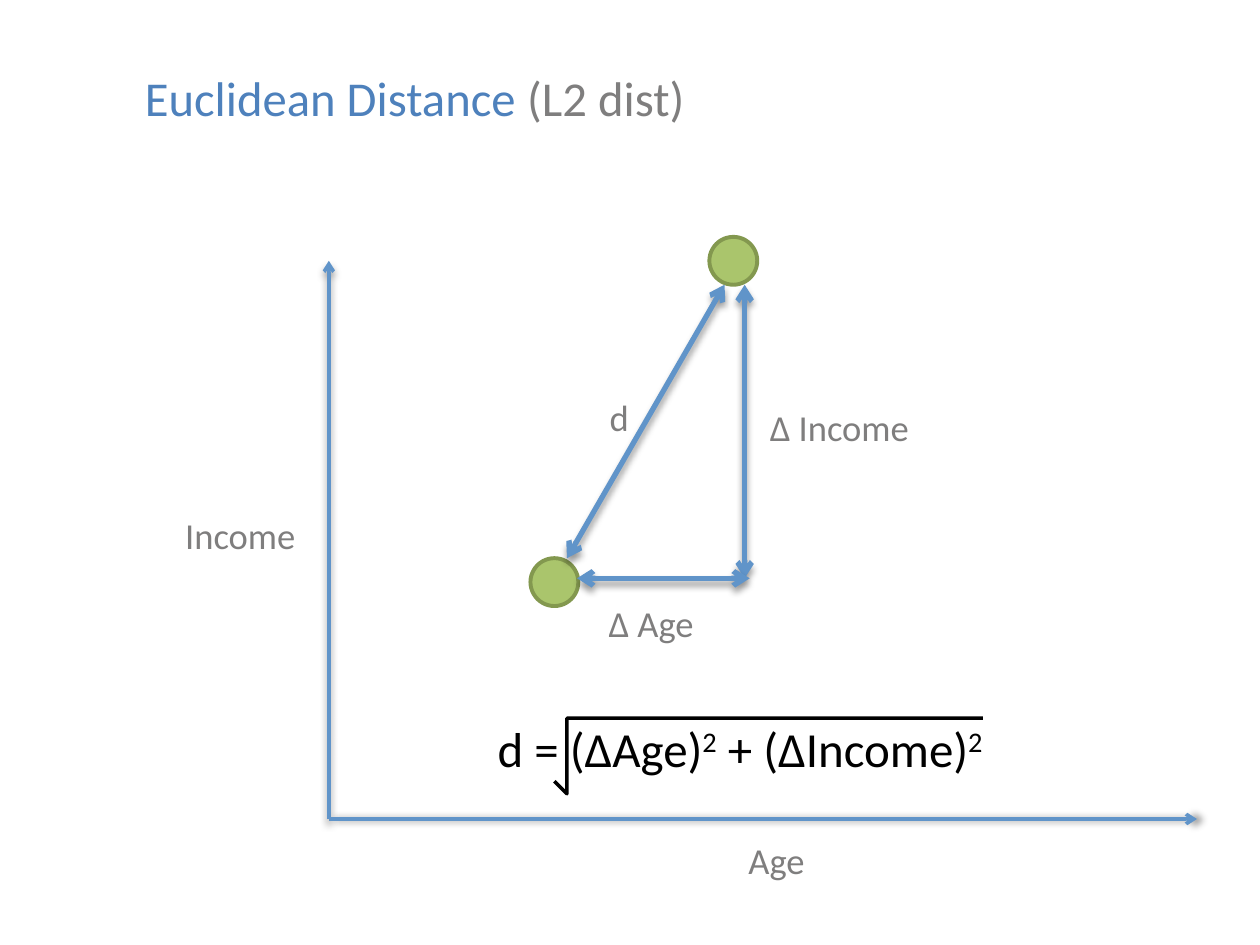
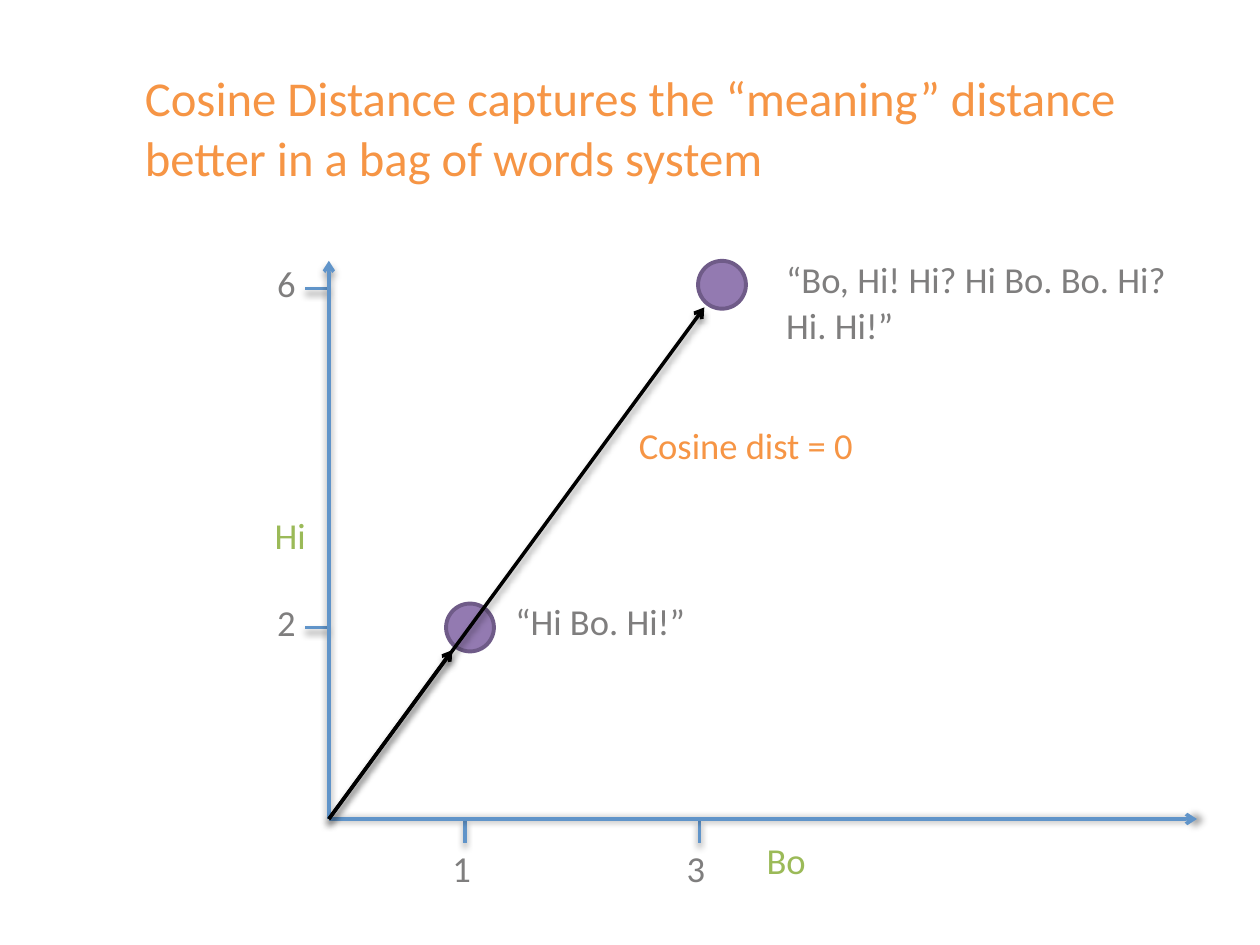
from dataclasses import dataclass
from typing import Any, NamedTuple

from lxml import etree
from pptx import Presentation
from pptx import util as u
from pptx.dml.color import RGBColor
from pptx.enum import shapes, text
from pptx.oxml import ns

COLS, ROWS = 100, 75  # the grid that all places are given in
CELL = u.Inches(0.1)


@dataclass(frozen=True)
class Theme:
    font: str = "Calibri"
    grey: str = "7F7E7E"
    blue: str = "4E81BC"
    line: str = "6094C9"
    orange: str = "F69545"
    green: str = "9BBA58"
    black: str = "000000"
    leaf: tuple[str, str] = ("AAC56C", "83984F")  # fill, rim
    plum: tuple[str, str] = ("937AB1", "6F5B88")
    thin: float = 2
    thick: float = 3
    rim: float = 2.25
    dot: float = 3.8


T = Theme()


class Style(NamedTuple):
    size: int
    lead: float | None = None
    space: float = 0
    raised: int = 0  # baseline shift in thousandths of a percent
    indent: float = 0


TITLE = Style(48, 34, 1.7, 2000, 0.1)
LABEL = Style(36, 26, 1.3, 2000, 0.1)
MATH = Style(28)


class Run(NamedTuple):
    words: str
    hue: str = T.grey
    up: int | None = None


class Label(NamedTuple):
    x: float
    y: float
    wide: float
    runs: list[Run]
    high: float = 3.6
    style: Style = LABEL
    align: str = "LEFT"
    wrap: bool = True


class Arrow(NamedTuple):
    start: tuple[float, float]
    end: tuple[float, float]
    hue: str = T.line
    width: float = T.thin
    heads: tuple[str, ...] = ("tailEnd",)
    turn: int = 90  # direction of the shadow


class Dot(NamedTuple):
    x: float
    y: float
    hues: tuple[str, str]


def cell(n: float) -> int:
    return round(n * CELL)


def put(item: Any, values: dict[str, Any]) -> None:
    for key, value in values.items():
        setattr(item, key, value)


def node(host: Any, tag: str, **attrs: Any) -> Any:
    return etree.SubElement(host, ns.qn(f"a:{tag}"), {k: str(v) for k, v in attrs.items()})


def pen(line: Any, hue: str, width: float) -> None:
    line.color.rgb = RGBColor.from_string(hue)
    line.width = u.Pt(width)


def write(slide: Any, spec: Label) -> None:
    box = slide.shapes.add_textbox(*map(cell, (spec.x, spec.y, spec.wide, spec.high)))
    frame = box.text_frame
    put(frame, {f"margin_{side}": 0 for side in ("left", "top", "right", "bottom")})
    frame.word_wrap = spec.wrap
    style, para = spec.style, frame.paragraphs[0]
    put(para, {
        "alignment": getattr(text.PP_ALIGN, spec.align),
        "line_spacing": u.Pt(style.lead) if style.lead else None,
        "space_before": u.Pt(style.space),
    })
    para._p.get_or_add_pPr().set("marL", str(cell(style.indent)))
    for part in spec.runs:
        run = para.add_run()
        run.text = part.words
        put(run.font, {"size": u.Pt(style.size), "name": T.font})
        run.font.color.rgb = RGBColor.from_string(part.hue)
        shift = style.raised if part.up is None else part.up
        run._r.get_or_add_rPr().set("baseline", str(shift))


def stroke(slide: Any, spec: Arrow) -> None:
    ends = map(cell, (*spec.start, *spec.end))
    link = slide.shapes.add_connector(shapes.MSO_CONNECTOR.STRAIGHT, *ends)
    pen(link.line, spec.hue, spec.width)
    for head in spec.heads:
        node(link.line._get_or_add_ln(), head, type="arrow")
    glow = node(node(link._element.spPr, "effectLst"), "outerShdw", blurRad=u.Pt(4),
                dist=u.Pt(3), dir=spec.turn * 60000, rotWithShape=0)
    node(node(glow, "srgbClr", val=T.black), "alpha", val=40000)


def spot(slide: Any, spec: Dot) -> None:
    disc = slide.shapes.add_shape(
        shapes.MSO_SHAPE.OVAL, *map(cell, (spec.x, spec.y, T.dot, T.dot)))
    disc.shadow.inherit = False
    disc.fill.solid()
    disc.fill.fore_color.rgb = RGBColor.from_string(spec.hues[0])
    pen(disc.line, spec.hues[1], T.rim)


DRAW = {Label: write, Arrow: stroke, Dot: spot}


def draw(slide: Any, *items: Label | Arrow | Dot) -> None:
    for item in items:
        DRAW[type(item)](slide, item)


# Shared parts: title and the two axes
ZERO = (26.1, 65)
AXES = (Arrow(ZERO, (26.1, 20.7)), Arrow(ZERO, (95, 65), turn=0))


def title(*runs: Run, high: float = 5.4) -> Label:
    return Label(11.4, 6, 86.1, list(runs), high, TITLE)


def root(slide: Any) -> None:
    """Square root sign over the formula."""
    first, *rest = [(43.7, 61.5), (44.7, 62.6), (44.7, 56.9), (78.2, 56.9)]
    maker = slide.shapes.build_freeform(*first, scale=CELL)
    maker.add_line_segments(rest, close=False)
    sign = maker.convert_to_shape()
    sign.shadow.inherit = False
    sign.fill.background()
    pen(sign.line, T.black, T.thin)


def euclid(slide: Any) -> None:
    both = ("headEnd", "tailEnd")
    draw(
        slide,
        title(Run("Euclidean Distance ", T.blue), Run("(L2 dist)")),
        Dot(56.3, 18.8, T.leaf),
        Dot(42.1, 44.3, T.leaf),
        Label(14.6, 41.1, 10.9, [Run("Income")]),
        Label(59.3, 66.9, 5.9, [Run("Age")]),
        *AXES,
        Arrow((57.5, 22.6), (45, 44.3), width=T.thick, heads=both),
        Label(61, 32.5, 13.2, [Run("∆ Income")]),
        Label(45.5, 31.7, 4.4, [Run("d")], align="RIGHT"),
        Label(39.5, 57, 39.9, [
            Run("d = (∆Age)", T.black), Run("2", T.black, 30000),
            Run(" + (∆Income)", T.black), Run("2", T.black, 30000),
        ], 4.7, MATH, wrap=False),
    )
    root(slide)
    draw(
        slide,
        Arrow((59.1, 22.6), (59.1, 45.9), width=T.thick, heads=both),
        Arrow((59.5, 45.9), (45.8, 45.9), width=T.thick, heads=both),
        Label(48.2, 48.1, 8.5, [Run("∆ Age")]),
    )


def cosine(slide: Any) -> None:
    left, base = ZERO
    draw(slide, title(Run("Cosine Distance captures the “meaning” distance better "
                          "in a bag of words system", T.orange), high=9.5))
    # Ticks and their numbers
    for mark, y in (("2", 49.8), ("6", 22.9)):
        draw(slide, Arrow((left, y), (left - 1.9, y), heads=()),
             Label(left - 4.2, y - 1.8, 2.5, [Run(mark)]))
    for mark, x in (("1", 36.9), ("3", 55.5)):
        draw(slide, Arrow((x, base + 1.9), (x, base), heads=()),
             Label(x - 1.1, base + 2.5, 2.5, [Run(mark)]))
    # Axes, documents and their vectors
    draw(
        slide,
        Label(21.7, 41.1, 3.8, [Run("Hi", T.green)]),
        Label(55.5, 66.9, 13.7, [Run("Bo", T.green)], align="CENTER"),
        *AXES,
        Dot(35.4, 47.9, T.plum),
        Dot(55.4, 20.7, T.plum),
        Label(40.8, 47.9, 20.1, [Run("“Hi Bo. Hi!”")]),
        Label(62.3, 20.8, 33.5, [Run("“Bo, Hi! Hi? Hi Bo. Bo. Hi? Hi. Hi!”")], 7.3),
        Label(50.6, 34, 20.5, [Run("Cosine dist = 0", T.orange)]),
        Arrow(ZERO, (55.9, 24.4), T.black),
        Arrow(ZERO, (35.9, 51.6), T.black),
    )


def main() -> None:
    deck = Presentation()
    put(deck, {"slide_width": cell(COLS), "slide_height": cell(ROWS)})
    for build in (euclid, cosine):
        build(deck.slides.add_slide(deck.slide_layouts[6]))
    deck.save("out.pptx")


if __name__ == "__main__":
    main()
